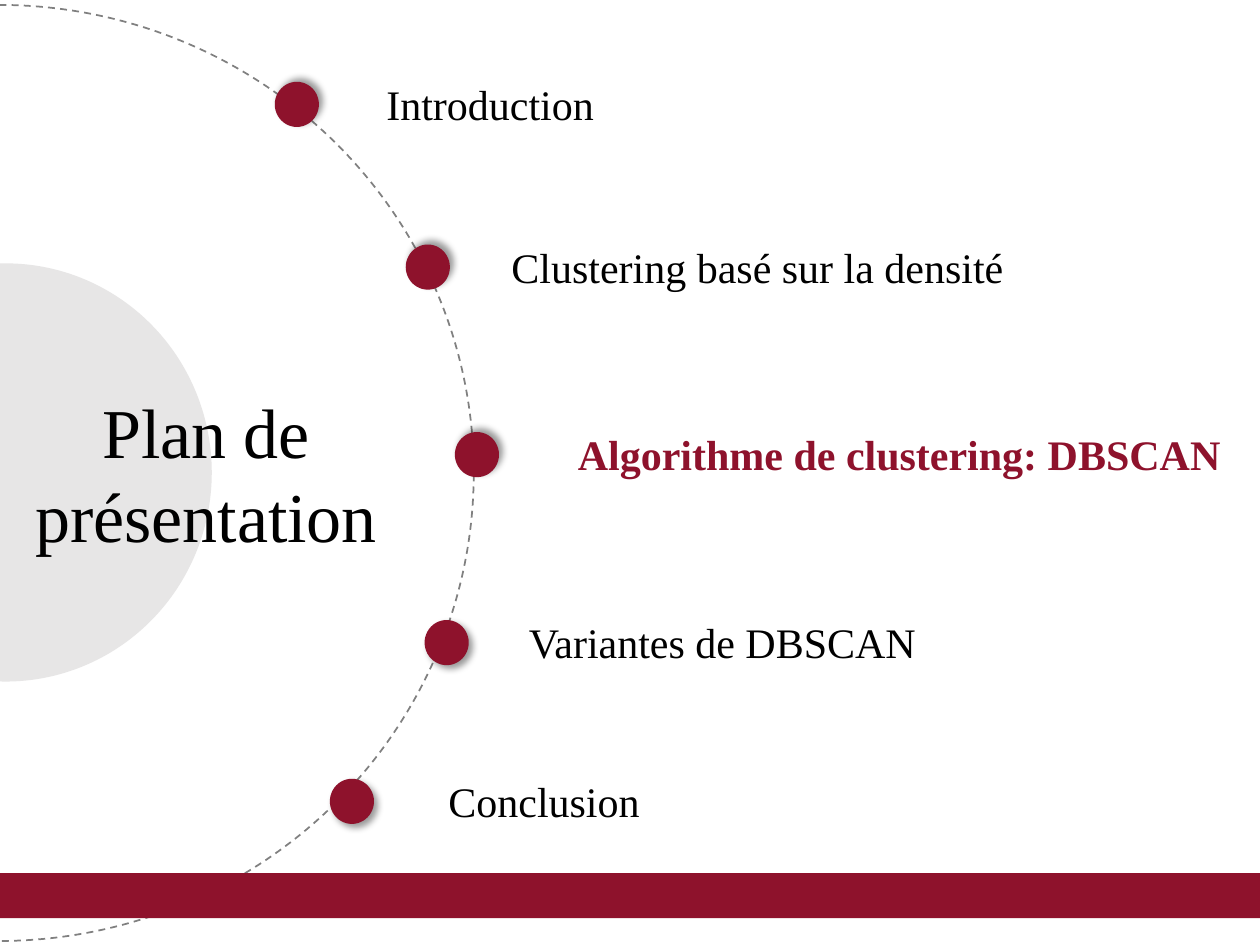
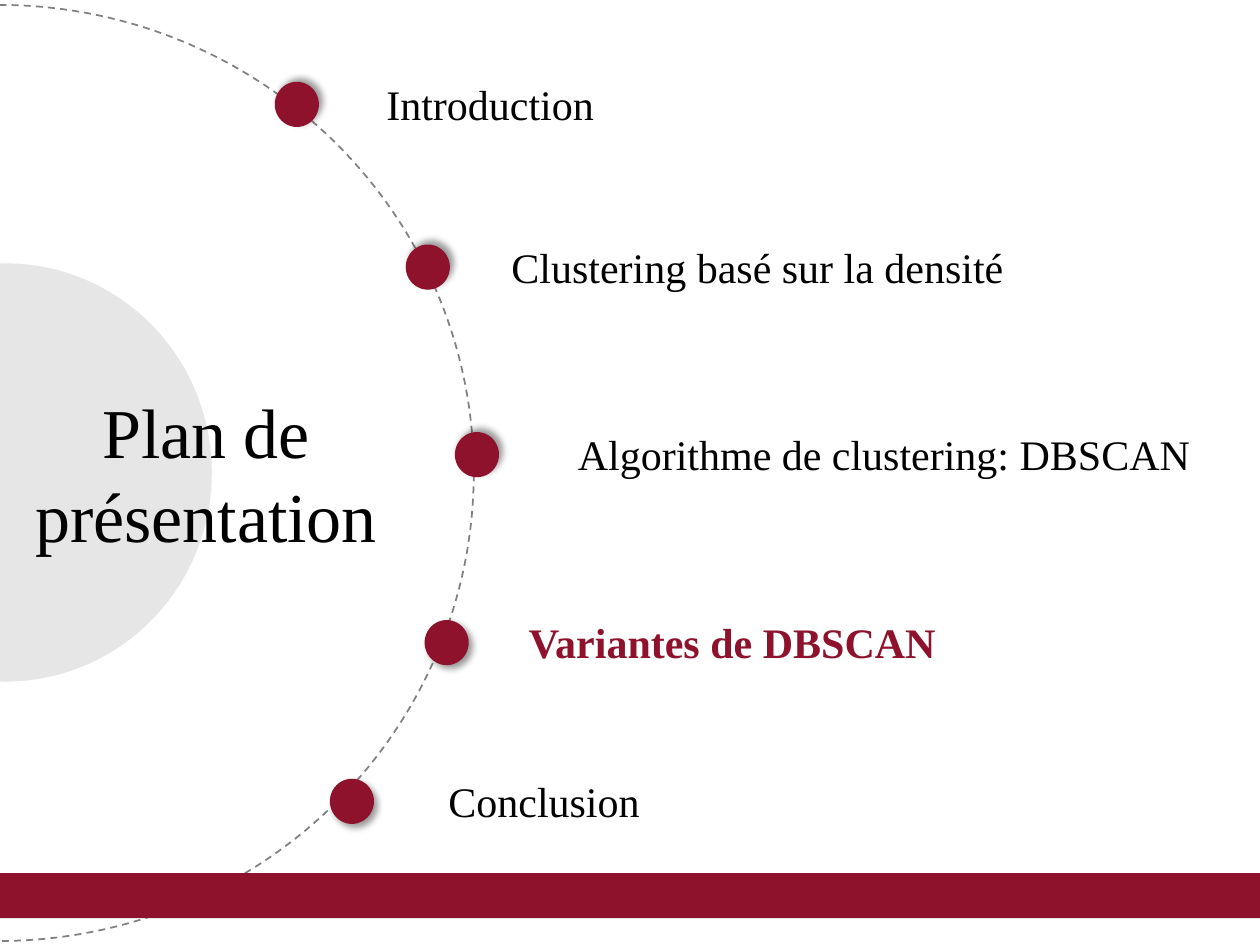
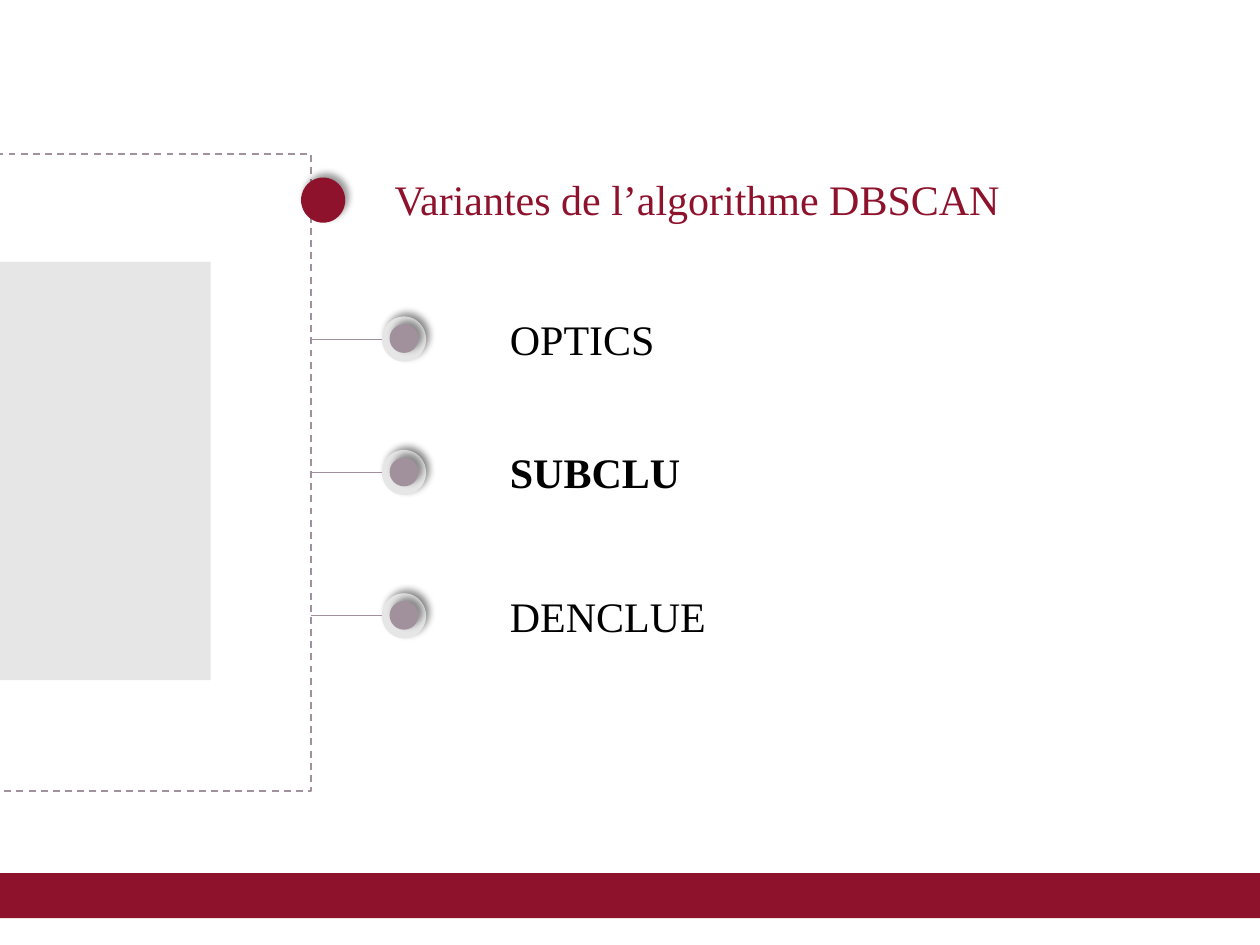
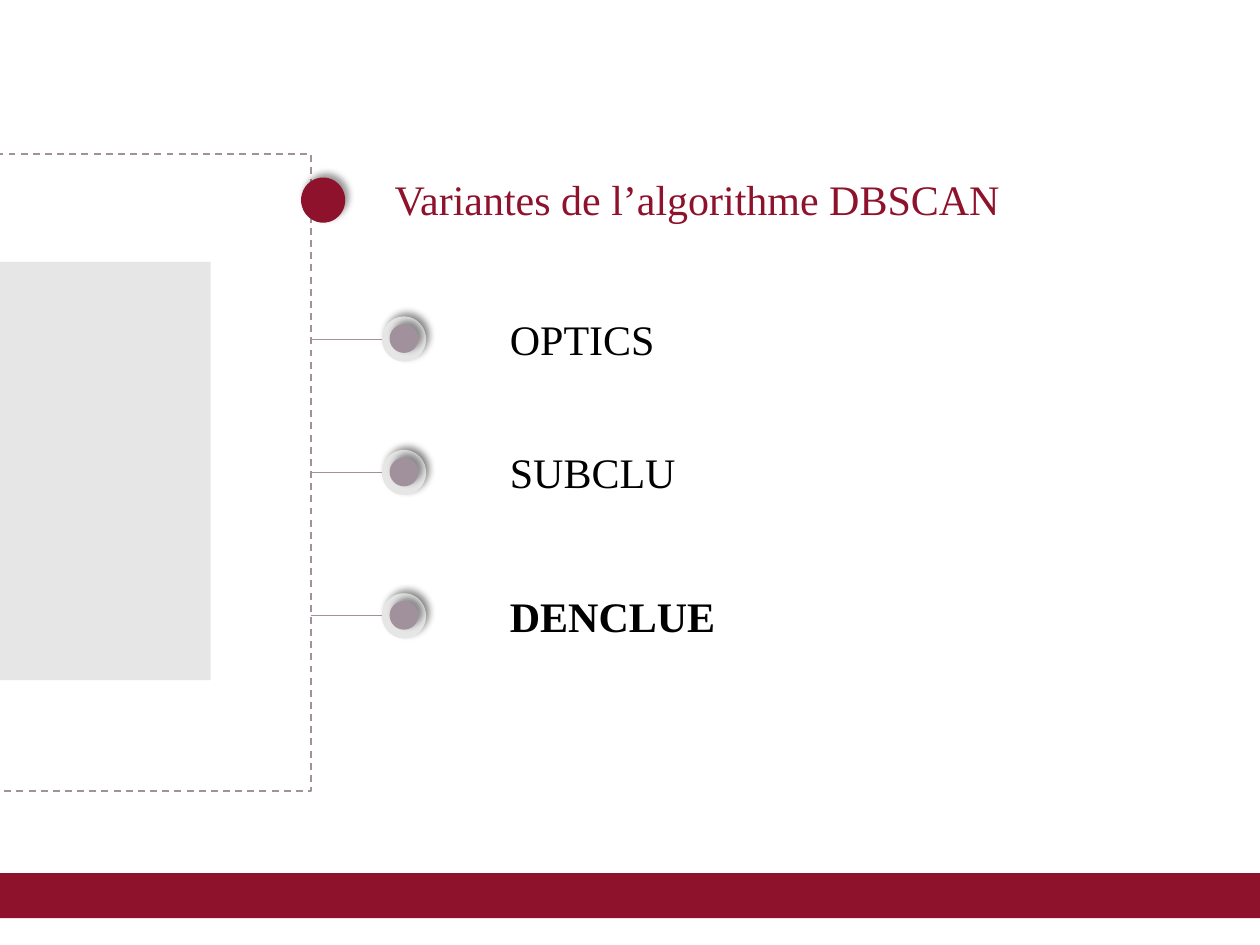
from dataclasses import dataclass

from lxml.etree import SubElement
from pptx import Presentation
from pptx.dml.color import RGBColor
from pptx.enum.dml import MSO_LINE
from pptx.enum.shapes import MSO_CONNECTOR, MSO_SHAPE
from pptx.enum.text import MSO_ANCHOR, MSO_AUTO_SIZE, PP_ALIGN
from pptx.oxml.ns import qn
from pptx.util import Cm, Pt


@dataclass(frozen=True)
class Theme:
    """Colours, font and type sizes of the deck."""
    accent: str = "8E122C"
    mauve: str = "A1919D"
    pale: str = "E7E6E6"
    grey: str = "808080"
    text: str = "000000"
    font: str = "Times New Roman"
    title_size: int = 40
    label_size: int = 24


THEME = Theme()
DOT_W, DOT_H = 0.89, 0.91
CORE = 0.58
LABEL_H = 1.27
LABEL_RISE = 0.19
FRAME_RIGHT = 6.27
VARIANT_X, VARIANT_LABEL_X = 7.7, 10.03
UP, DOWN = 315, 45

PLAN = [
    ("Introduction", 5.54, 1.65, UP, 7.54, 8.89),
    ("Clustering basé sur la densité", 8.18, 4.93, UP, 10.06, 14.1),
    ("Algorithme de clustering: DBSCAN", 9.17, 8.71, UP, 11.4, 14),
    ("Variantes de DBSCAN", 8.56, 12.5, DOWN, 10.41, 8.89),
    ("Conclusion", 6.65, 15.7, DOWN, 8.79, 8.89),
]
VARIANTS = [("OPTICS", 6.38), ("SUBCLU", 9.07), ("DENCLUE", 11.96)]


def rgb(code):
    """Turn a hex code into a colour."""
    return RGBColor.from_string(code)


def set_all(obj, formats):
    """Set each named attribute of an object."""
    for name, value in formats.items():
        setattr(obj, name, value)


def add_effects(shape):
    """Give a shape its own effect list, which is empty."""
    return SubElement(shape.element.spPr, qn("a:effectLst"))


def add_shadow(shape, angle):
    """Cast a soft shadow in the given direction."""
    shape.shadow.inherit = False
    effects = shape.element.spPr.find(qn("a:effectLst"))
    outer = SubElement(effects, qn("a:outerShdw"), blurRad=str(Pt(4)),
                       dist=str(Pt(3)), dir=str(angle * 60000),
                       algn="ctr", rotWithShape="0")
    color = SubElement(outer, qn("a:srgbClr"), val=THEME.text)
    SubElement(color, qn("a:alpha"), val="40000")


def add_filled(shapes, kind, box, color):
    """Add a plain filled shape."""
    sp = shapes.add_shape(kind, *map(Cm, box))
    sp.shadow.inherit = False
    sp.fill.solid()
    sp.fill.fore_color.rgb = rgb(color)
    sp.line.fill.background()
    return sp


def add_outline(shapes, kind, box, color):
    """Add an unfilled shape with a dashed outline."""
    sp = shapes.add_shape(kind, *map(Cm, box))
    sp.shadow.inherit = False
    sp.fill.background()
    sp.line.color.rgb = rgb(color)
    set_all(sp.line, {"width": Pt(1), "dash_style": MSO_LINE.DASH})


def add_dot(shapes, box, color, angle=UP):
    """Add a round marker with a shadow."""
    add_shadow(add_filled(shapes, MSO_SHAPE.OVAL, box, color), angle)


def write(sp, text, size, color=THEME.text, bold=False, align=PP_ALIGN.LEFT):
    """Write one formatted paragraph into a shape."""
    tf = sp.text_frame
    set_all(tf, {"word_wrap": True, "vertical_anchor": MSO_ANCHOR.TOP,
                 "auto_size": MSO_AUTO_SIZE.SHAPE_TO_FIT_TEXT})
    p = tf.paragraphs[0]
    p.alignment = align
    r = p.add_run()
    r.text = text
    set_all(r.font, {"name": THEME.font, "size": Pt(size), "bold": bold})
    r.font.color.rgb = rgb(color)


def add_label(s, text, box, **style):
    """Add a label in a text box."""
    write(s.shapes.add_textbox(*map(Cm, box)), text, THEME.label_size, **style)


def place_title(s, text, box, size, **style):
    """Move the title placeholder to the front and fill it."""
    title = s.shapes.title
    set_all(title, dict(zip(("left", "top", "width", "height"), map(Cm, box))))
    write(title, text, size, **style)
    s.shapes.element.append(title.element)


def add_slide(prs):
    """Add a slide that holds only a title."""
    return prs.slides.add_slide(prs.slide_layouts[5])


def add_band(s):
    """Draw the band at the foot of a slide."""
    add_filled(s.shapes, MSO_SHAPE.RECTANGLE, (-0.05, 17.6, 25.45, 0.91), THEME.accent)


def add_variant(s, text, top, bold):
    """Add a ringed marker tied to the frame, with its label."""
    shapes = s.shapes.add_group_shape().shapes
    inset = (DOT_W - CORE) / 2
    middle = top + DOT_H / 2
    add_dot(shapes, (VARIANT_X, top, DOT_W, DOT_H), THEME.pale)
    add_dot(shapes, (VARIANT_X + inset, top + inset, CORE, CORE), THEME.mauve)
    line = shapes.add_connector(MSO_CONNECTOR.STRAIGHT, Cm(VARIANT_X), Cm(middle),
                                Cm(FRAME_RIGHT), Cm(middle))
    line.line.color.rgb = rgb(THEME.mauve)
    line.line.width = Pt(0.5)
    add_effects(line)
    add_label(s, text, (VARIANT_LABEL_X, top - LABEL_RISE, 8.89, LABEL_H), bold=bold)


def add_plan_slide(prs, current):
    """Add the plan with the current section picked out."""
    s = add_slide(prs)
    add_filled(s.shapes, MSO_SHAPE.OVAL, (-4.04, 5.31, 8.31, 8.43), THEME.pale)
    add_outline(s.shapes, MSO_SHAPE.OVAL, (-9.6, 0.1, 19.15, 18.87), THEME.grey)
    for text, x, y, angle, label_x, width in PLAN:
        add_dot(s.shapes, (x, y, DOT_W, DOT_H), THEME.accent, angle)
        active = text == current
        add_label(s, text, (label_x, y - LABEL_RISE, width, LABEL_H), bold=active,
                  color=THEME.accent if active else THEME.text)
    add_band(s)
    place_title(s, "Plan de présentation", (0, 7.7, 8.31, 3.68),
                THEME.title_size, align=PP_ALIGN.CENTER)


def add_variants_slide(prs, current):
    """Add the list of variants with the current one in bold."""
    s = add_slide(prs)
    add_outline(s.shapes, MSO_SHAPE.RECTANGLE,
                (FRAME_RIGHT - 12.65, 3.1, 12.65, 12.85), THEME.mauve)
    add_filled(s.shapes, MSO_SHAPE.RECTANGLE, (-4.06, 5.28, 8.31, 8.43), THEME.pale)
    add_dot(s.shapes, (6.07, 3.58, DOT_W, DOT_H), THEME.accent)
    add_band(s)
    place_title(s, "Variantes de l’algorithme DBSCAN", (7.7, 3.38, 13.34, LABEL_H),
                THEME.label_size, color=THEME.accent)
    for text, top in VARIANTS:
        add_variant(s, text, top, text == current)


def main():
    """Build the deck."""
    prs = Presentation()
    set_all(prs, {"slide_width": Cm(25.4), "slide_height": Cm(19.05)})
    for current in ("Algorithme de clustering: DBSCAN", "Variantes de DBSCAN"):
        add_plan_slide(prs, current)
    for current in ("SUBCLU", "DENCLUE"):
        add_variants_slide(prs, current)
    prs.save("out.pptx")


if __name__ == "__main__":
    main()
